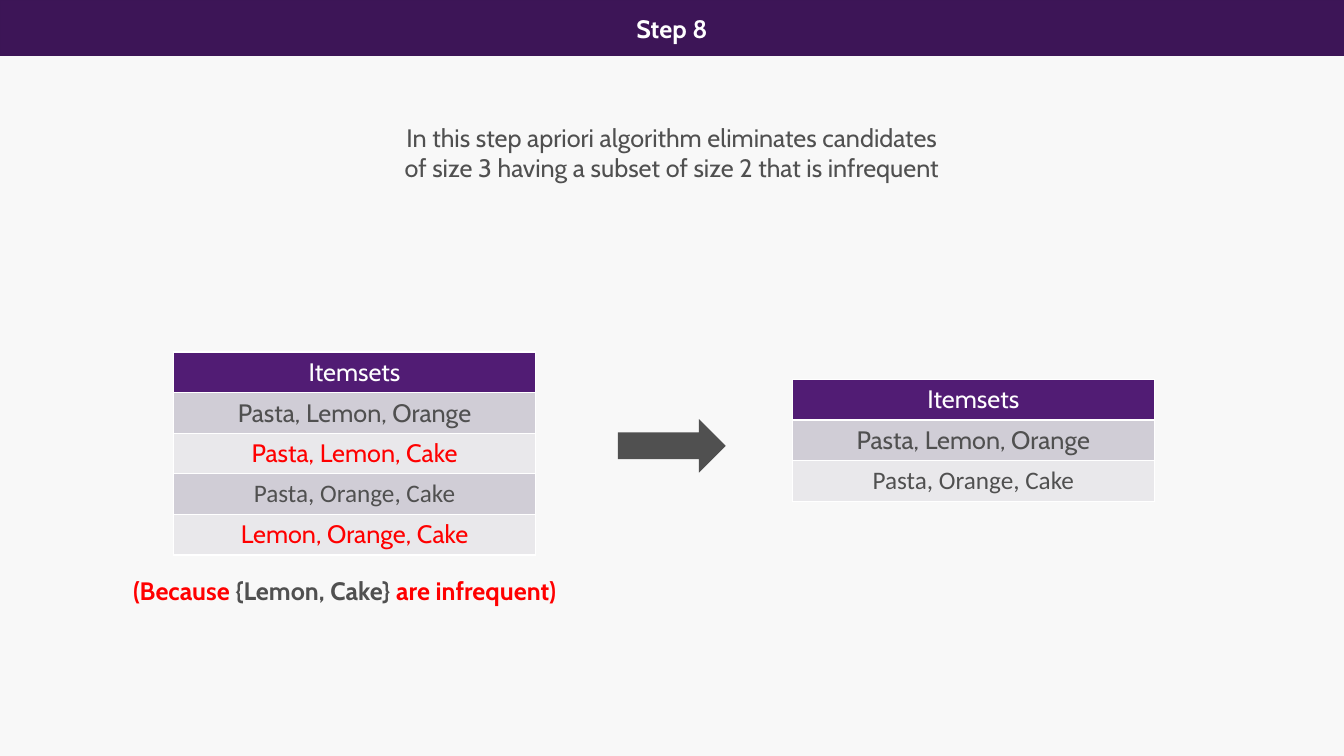
from pptx import Presentation
from pptx.dml.color import RGBColor
from pptx.enum import shapes, text
from pptx.util import Pt

PLUM = RGBColor(0x3D, 0x15, 0x57)
EDGE = RGBColor(0x3C, 0x15, 0x56)
HEAD = RGBColor(0x51, 0x1C, 0x74)
BANDS = RGBColor(0xD0, 0xCD, 0xD6), RGBColor(0xE9, 0xE8, 0xEB)
GRAY = RGBColor(0x50, 0x50, 0x50)
RED = RGBColor(0xFF, 0x00, 0x00)
WHITE = RGBColor(0xFF, 0xFF, 0xFF)
PAPER = RGBColor(0xF8, 0xF8, 0xF8)
CENTER = text.PP_ALIGN.CENTER


class Page:
    """Draws elements on one slide in a shared style; lengths in points."""

    def __init__(self, slide, face="Cabin", size=18):
        self.slide, self.face, self.size = slide, face, size
        fill = slide.background.fill
        fill.solid()
        fill.fore_color.rgb = PAPER

    def style(self, para, color=None, bold=False, face=None, align=CENTER):
        para.alignment = align
        font = para.font
        font.name, font.size, font.bold = face or self.face, Pt(self.size), bold
        if color is not None:
            font.color.rgb = color

    def shape(self, kind, box, fill, line=None):
        item = self.slide.shapes.add_shape(kind, *map(Pt, box))
        item.shadow.inherit = False
        item.fill.solid()
        item.fill.fore_color.rgb = fill
        if line is None:
            item.line.fill.background()
        else:
            item.line.color.rgb = line
            item.line.width = Pt(0.85)

    def label(self, box, parts, bold=False, align=CENTER):
        frame = self.slide.shapes.add_textbox(*map(Pt, box)).text_frame
        frame.word_wrap = True
        para = frame.paragraphs[0]
        shared = parts[0][1] if len(parts) == 1 else None
        self.style(para, shared, bold, align=align)
        for words, color in parts:
            run = para.add_run()
            run.text = words
            if shared is None:
                run.font.color.rgb = color

    def table(self, left, top, rows, width=258.5, high=29):
        grid = self.slide.shapes.add_table(
            len(rows) + 1, 1, Pt(left), Pt(top), Pt(width), Pt(high * (len(rows) + 1))
        ).table
        for i, (words, color, face) in enumerate([("Itemsets", WHITE, None), *rows]):
            cell = grid.cell(i, 0)
            cell.text = words
            cell.fill.solid()
            cell.fill.fore_color.rgb = BANDS[(i - 1) % 2] if i else HEAD
            self.style(cell.text_frame.paragraphs[0], color, face=face)


def main():
    deck = Presentation()
    deck.slide_width, deck.slide_height = Pt(960), Pt(540)
    page = Page(deck.slides.add_slide(deck.slide_layouts[6]))
    kinds = shapes.MSO_SHAPE

    page.shape(kinds.RECTANGLE, (0, 0, 960, 39.6), PLUM, EDGE)
    page.label((372, 5.8, 216, 21.6), [("Step 8", WHITE)], bold=True)
    page.label(
        (274.3, 83.5, 411, 38),
        [("In this step apriori algorithm eliminates candidates of size 3 "
          "having a subset of size 2 that is infrequent", GRAY)],
    )

    first = ("Pasta, Lemon, Orange", GRAY, None)
    third = ("Pasta, Orange, Cake", GRAY, "Calibri")
    page.table(124, 251.5, [
        first,
        ("Pasta, Lemon, Cake", RED, None),
        third,
        ("Lemon, Orange, Cake", RED, None),
    ])
    page.table(566, 271, [first, third])
    page.shape(kinds.RIGHT_ARROW, (441.4, 299.4, 77, 38.2), GRAY)
    page.label(
        (88, 407.5, 333, 21.6),
        [("(Because ", RED), ("{Lemon, Cake}", GRAY), (" are infrequent)", RED)],
        bold=True, align=text.PP_ALIGN.LEFT,
    )
    deck.save("out.pptx")


if __name__ == "__main__":
    main()
